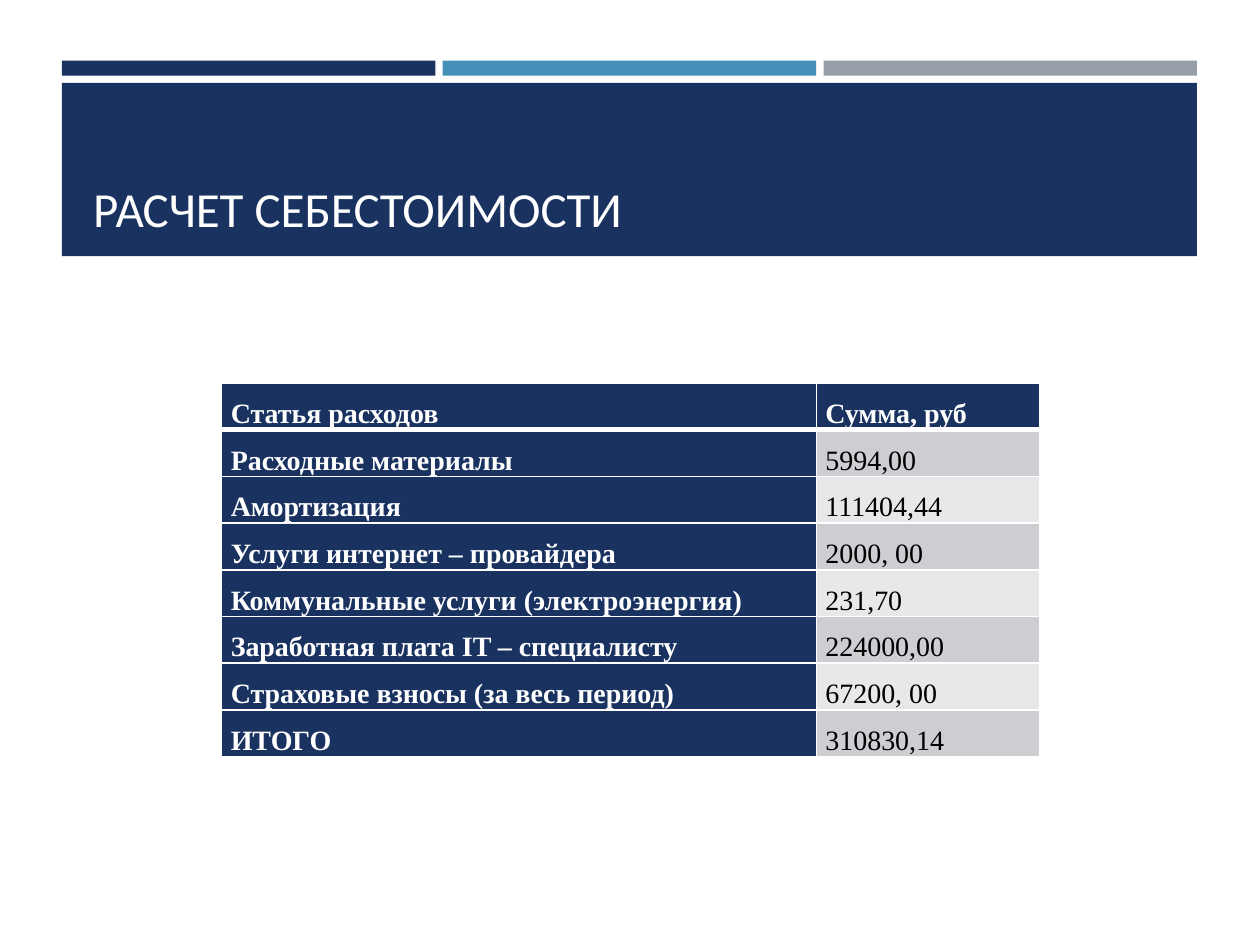
from lxml import etree
from pptx import Presentation
from pptx.dml.color import RGBColor
from pptx.enum import shapes, text
from pptx.oxml.ns import qn
from pptx.util import Pt

TITLE = "РАСЧЕТ СЕБЕСТОИМОСТИ"
ROWS = [
    ("Статья расходов", "Сумма, руб"),
    ("Расходные материалы", "5994,00"),
    ("Амортизация", "111404,44"),
    ("Услуги интернет – провайдера", "2000, 00"),
    ("Коммунальные услуги (электроэнергия)", "231,70"),
    ("Заработная плата IT – специалисту", "224000,00"),
    ("Страховые взносы (за весь период)", "67200, 00"),
    ("ИТОГО", "310830,14"),
]
THEME = {
    "navy": "1A3260", "blue": "4590B8", "gray": "969FA7",
    "white": "FFFFFF", "black": "000000",
    "bands": ("E8E8EA", "CDCED2"),
    "head": "Calibri", "body": "Times New Roman",
    "title": 28, "cell": 16,
}
LEFT, WIDTH, GAP = 35.4, 648.6, 4.2
COLS = (339.8, 127.4)
ROW = 25.4


def paint(obj, color):
    obj.fill.solid()
    obj.fill.fore_color.rgb = RGBColor.from_string(color)


def put(frame, words, font, size, color, bold=False, space=None):
    par = frame.paragraphs[0]
    par.alignment = text.PP_ALIGN.LEFT
    par.line_spacing = space
    run = par.add_run()
    run.text = words
    run.font.name = font
    run.font.size = Pt(size)
    run.font.bold = bold
    run.font.color.rgb = RGBColor.from_string(color)


def bar(slide, x, y, w, h, color):
    box = slide.shapes.add_shape(
        shapes.MSO_SHAPE.RECTANGLE, Pt(x), Pt(y), Pt(w), Pt(h))
    box.shadow.inherit = False
    box.line.fill.background()
    paint(box, color)


def edge(cell, side, width):
    """Draw a white border on one side (L, R, T or B) of a cell."""
    line = etree.SubElement(
        cell._tc.get_or_add_tcPr(), qn("a:ln" + side), w=str(Pt(width)))
    fill = etree.SubElement(line, qn("a:solidFill"))
    etree.SubElement(fill, qn("a:srgbClr"), val=THEME["white"])


def header(slide):
    part = (WIDTH - 2 * GAP) / 3
    for i, name in enumerate(("navy", "blue", "gray")):
        bar(slide, LEFT + i * (part + GAP), 34.7, part, 8.5, THEME[name])
    bar(slide, LEFT, 47.3, WIDTH, 99, THEME["navy"])

    title = slide.shapes.title
    title.left, title.top = Pt(46), Pt(54)
    title.width, title.height = Pt(629.3), Pt(85)
    frame = title.text_frame
    frame.vertical_anchor = text.MSO_ANCHOR.BOTTOM
    frame.word_wrap = True
    put(frame, TITLE, THEME["head"], THEME["title"], THEME["white"])
    slide.shapes.element.append(title.element)  # bring in front of the band


def costs(slide):
    grid = slide.shapes.add_table(
        len(ROWS), len(COLS), Pt(126.7), Pt(218.9),
        Pt(sum(COLS)), Pt(ROW * len(ROWS))).table
    for col, width in zip(grid.columns, COLS):
        col.width = Pt(width)
    for r, row in enumerate(ROWS):
        grid.rows[r].height = Pt(ROW)
        for c, words in enumerate(row):
            cell = grid.cell(r, c)
            dark = r == 0 or c == 0
            cell.margin_left = cell.margin_right = Pt(5.2)
            cell.margin_top = cell.margin_bottom = 0
            for side in "LRTB":
                thick = (r, side) in ((0, "B"), (1, "T"))
                edge(cell, side, 3 if thick else 1)
            paint(cell, THEME["navy"] if dark else THEME["bands"][r % 2])
            put(cell.text_frame, words, THEME["body"], THEME["cell"],
                THEME["white" if dark else "black"], bold=dark, space=1.5)


def main():
    deck = Presentation()
    deck.slide_width, deck.slide_height = Pt(720), Pt(540)
    slide = deck.slides.add_slide(deck.slide_layouts[5])
    header(slide)
    costs(slide)
    deck.save("out.pptx")


if __name__ == "__main__":
    main()
